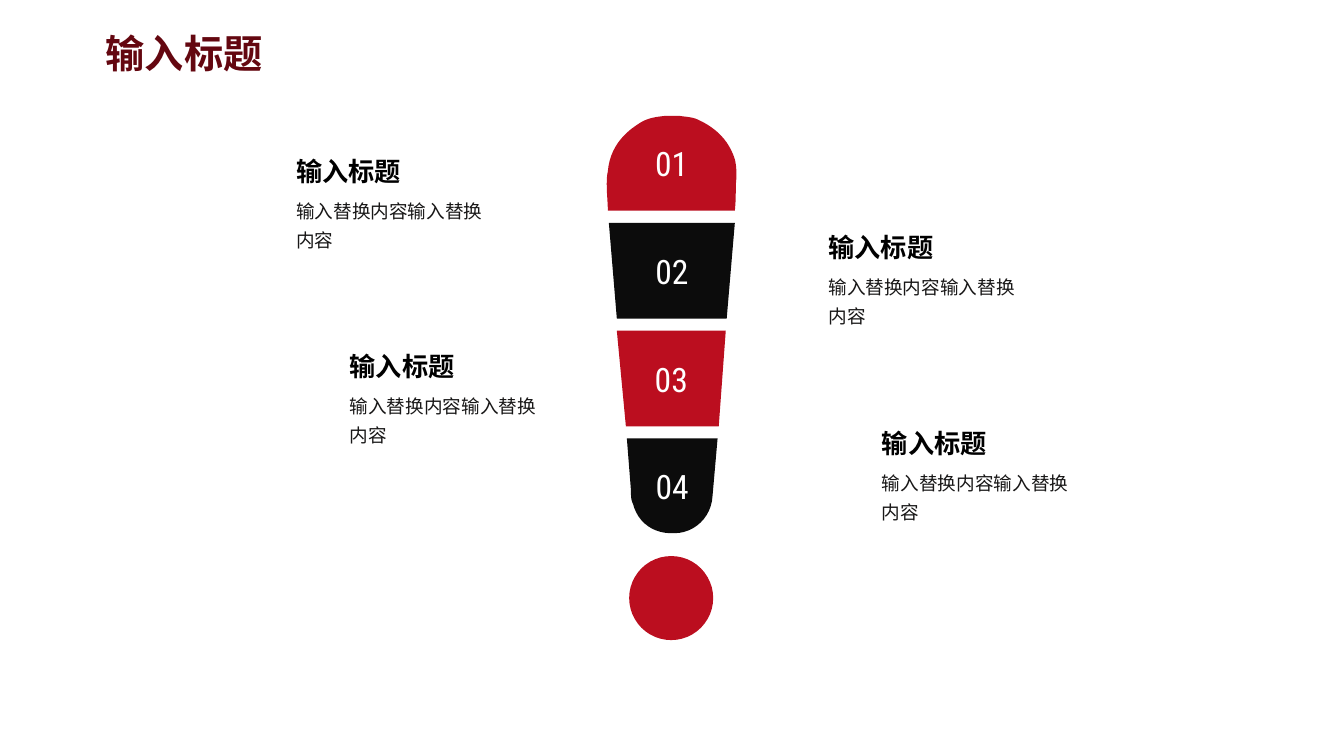
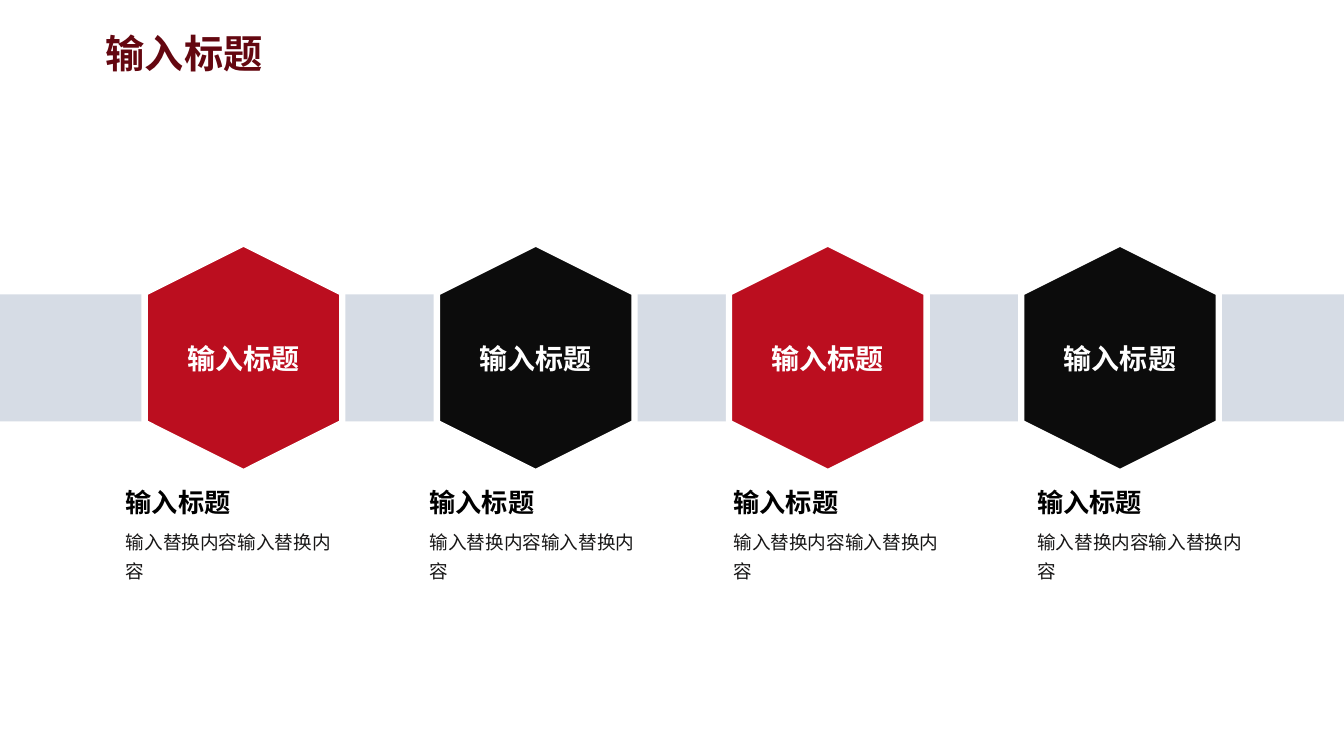
from dataclasses import dataclass

from lxml.etree import SubElement as Sub
from pptx import Presentation
from pptx.dml.color import RGBColor as Rgb
from pptx.enum.shapes import MSO_SHAPE as Kind
from pptx.enum.text import MSO_ANCHOR as Anchor, MSO_AUTO_SIZE as Auto, PP_ALIGN as Align
from pptx.oxml.ns import qn
from pptx.shapes.autoshape import Shape
from pptx.slide import Slide
from pptx.text.text import TextFrame
from pptx.util import Pt

WIDE, HIGH = 960, 540
RED, BLACK, WHITE = "BB0E1F", "0C0C0C", "FFFFFF"
WINE, BAND, INK, GREY = "640710", "D6DCE5", "000000", "181717"
HAN, LATIN = "Noto Sans CJK SC", "Roboto Condensed"
HEAD, BODY = "输入标题", "输入替换内容输入替换内容"


@dataclass(frozen=True)
class Style:
    size: float
    color: str
    bold: bool = False
    font: str = HAN
    align: Align = Align.LEFT
    space: float = 1.0


@dataclass(frozen=True)
class Part:
    text: str
    color: str
    start: tuple[float, float]
    steps: tuple[tuple[float, ...], ...]


@dataclass(frozen=True)
class Note:
    left: float
    top: float
    width: float


TITLE = Style(28, WINE, True)
LEAD = Style(18.7, INK, True)
PLAIN = Style(13.3, GREY, space=1.3)
DIGIT = Style(24, WHITE, font=LATIN, align=Align.CENTER)
LABEL = Style(20, WHITE, True, align=Align.CENTER)

PARTS = (
    Part("01", RED, (475.2, 82.8), (
        (478.8, 82.8, 481.7, 82.8, 485.3, 82.8),
        (489.6, 83.5, 494.6, 83.5, 499, 85.7),
        (511.2, 91.4, 520.6, 100.1, 524.9, 113.8),
        (526.3, 119.5, 526.3, 126, 525.6, 131.8),
        (525.6, 138.2, 525.6, 144, 524.9, 150.5),
        (434.2, 150.5),
        (434.2, 143, 432.4, 130, 434.2, 122.4),
        (435.6, 106.6, 444.2, 95.8, 457.2, 87.8),
        (463, 84.2, 468.7, 83.5, 475.2, 82.8),
    )),
    Part("02", BLACK, (434.9, 159.1), ((524.9, 159.1), (519.1, 227.5), (440.6, 227.5))),
    Part("03", RED, (440.6, 236.2), ((518.4, 236.2), (513.4, 304.6), (447.1, 304.6))),
    Part("04", BLACK, (447.8, 313.2), (
        (512.6, 313.2),
        (509, 354.2),
        (508.3, 369.4, 496.1, 380.9, 481.7, 380.9),
        (467.3, 381.6, 455.8, 373.7, 452.2, 360),
        (450.7, 357.1, 450.7, 353.5, 450.7, 349.9),
    )),
)


def tint(code: str) -> Rgb:
    return Rgb.from_string(code)


def write(frame: TextFrame, text: str, style: Style) -> None:
    frame.text = text
    para = frame.paragraphs[0]
    para.alignment = style.align
    para.line_spacing = style.space
    font = para.runs[0].font
    font.name, font.size, font.bold = style.font, Pt(style.size), style.bold
    font.color.rgb = tint(style.color)
    Sub(para.runs[0].font._element, qn("a:ea")).set("typeface", style.font)


def paint(shape: Shape, color: str) -> None:
    shape.shadow.inherit = False
    shape.fill.solid()
    shape.fill.fore_color.rgb = tint(color)
    shape.line.fill.background()


def form(slide: Slide, kind: Kind, left: float, top: float,
         width: float, height: float, color: str) -> Shape:
    shape = slide.shapes.add_shape(kind, Pt(left), Pt(top), Pt(width), Pt(height))
    paint(shape, color)
    return shape


def box(slide: Slide, left: float, top: float, width: float,
        height: float, text: str, style: Style) -> None:
    frame = slide.shapes.add_textbox(Pt(left), Pt(top), Pt(width), Pt(height)).text_frame
    frame.word_wrap = True
    write(frame, text, style)


def note(slide: Slide, item: Note) -> None:
    box(slide, item.left, item.top, item.width, 30, HEAD, LEAD)
    box(slide, item.left, item.top + 27, item.width, 47.5, BODY, PLAIN)


def trace(part: Part, count: int = 12) -> list[tuple[int, int]]:
    dots = [part.start]
    for step in part.steps:
        if len(step) == 2:
            dots.append(step)
            continue
        ends = [dots[-1], step[:2], step[2:4], step[4:]]
        for i in range(1, count + 1):
            t = i / count
            rates = ((1 - t) ** 3, 3 * t * (1 - t) ** 2, 3 * t * t * (1 - t), t ** 3)
            dots.append(tuple(sum(r * e[k] for r, e in zip(rates, ends)) for k in (0, 1)))
    return [(Pt(x), Pt(y)) for x, y in dots]


def draw(slide: Slide, part: Part) -> None:
    first, *rest = trace(part)
    pen = slide.shapes.build_freeform(*first)
    pen.add_line_segments(rest, close=True)
    shape = pen.convert_to_shape()
    paint(shape, part.color)
    shape.text_frame.vertical_anchor = Anchor.MIDDLE
    write(shape.text_frame, part.text, DIGIT)


def hexa(slide: Slide, left: float, color: str) -> None:
    shape = form(slide, Kind.HEXAGON, left, 185, 163.4, 141.2, color)
    shape.rotation = 90
    shape.line.color.rgb = tint(WHITE)
    shape.line.width = Pt(4.5)
    frame = shape.text_frame
    frame.word_wrap = False
    frame.vertical_anchor = Anchor.MIDDLE
    frame._txBody.bodyPr.set("vert", "vert270")
    write(frame, HEAD, LABEL)


def start(deck: Presentation) -> Slide:
    slide = deck.slides.add_slide(deck.slide_layouts[5])
    title = slide.shapes.title
    title.left, title.top, title.width, title.height = Pt(68.4), Pt(17.3), Pt(161.4), Pt(41)
    frame = title.text_frame
    frame.auto_size = Auto.NONE
    frame.vertical_anchor = Anchor.TOP
    write(frame, HEAD, TITLE)
    return slide


def mark(deck: Presentation) -> None:
    slide = start(deck)
    form(slide, Kind.OVAL, 449.4, 397.2, 60, 60, RED)
    for part in PARTS:
        draw(slide, part)
    for row in range(2):
        for col in range(2):
            left = 204.5 + 38.2 * row + 380.2 * col
            top = 107.3 + 139.7 * row + 54.7 * col
            note(slide, Note(left, top, 152.6))


def chain(deck: Presentation) -> None:
    slide = start(deck)
    form(slide, Kind.RECTANGLE, 0, 210.3, WIDE, 90.7, BAND)
    for i in range(4):
        hexa(slide, 92.2 + 208.7 * i, (RED, BLACK)[i % 2])
        note(slide, Note(82.8 + 217 * i, 344, 161.4))


def main() -> None:
    deck = Presentation()
    deck.slide_width, deck.slide_height = Pt(WIDE), Pt(HIGH)
    mark(deck)
    chain(deck)
    deck.save("out.pptx")


if __name__ == "__main__":
    main()
